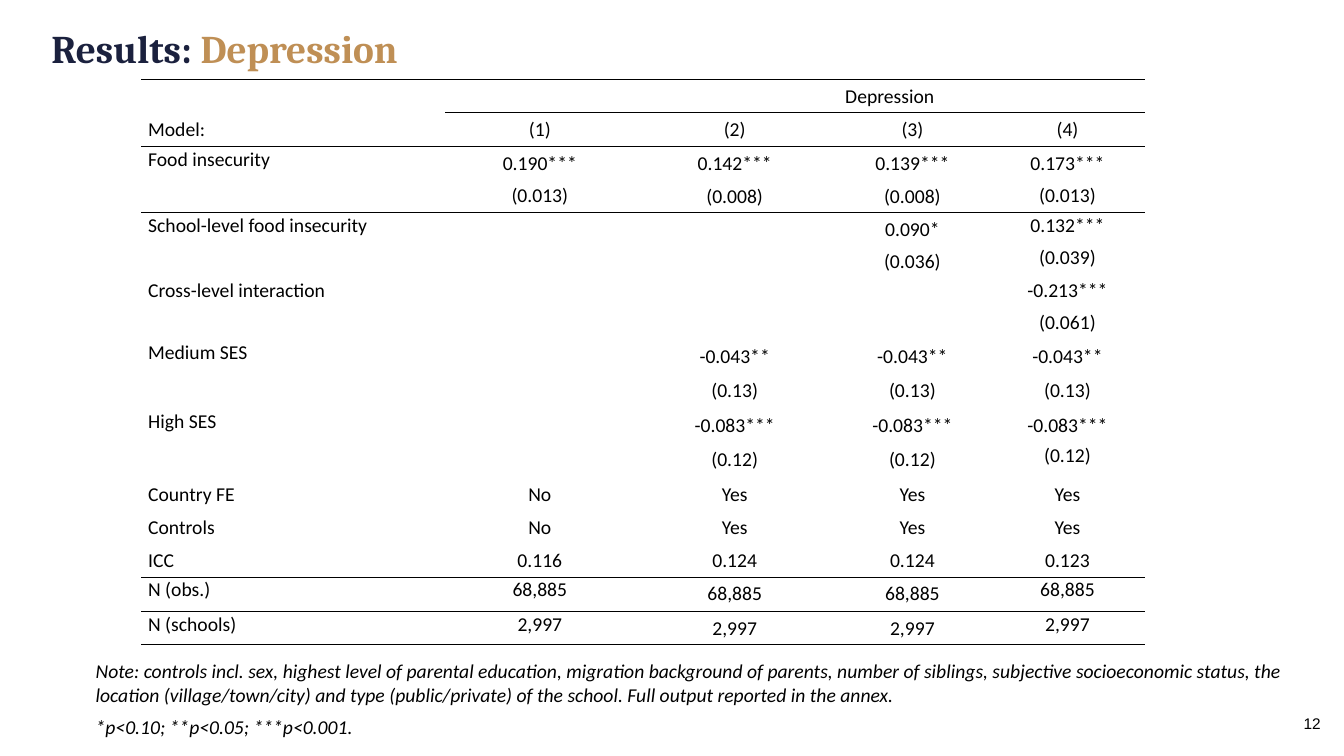
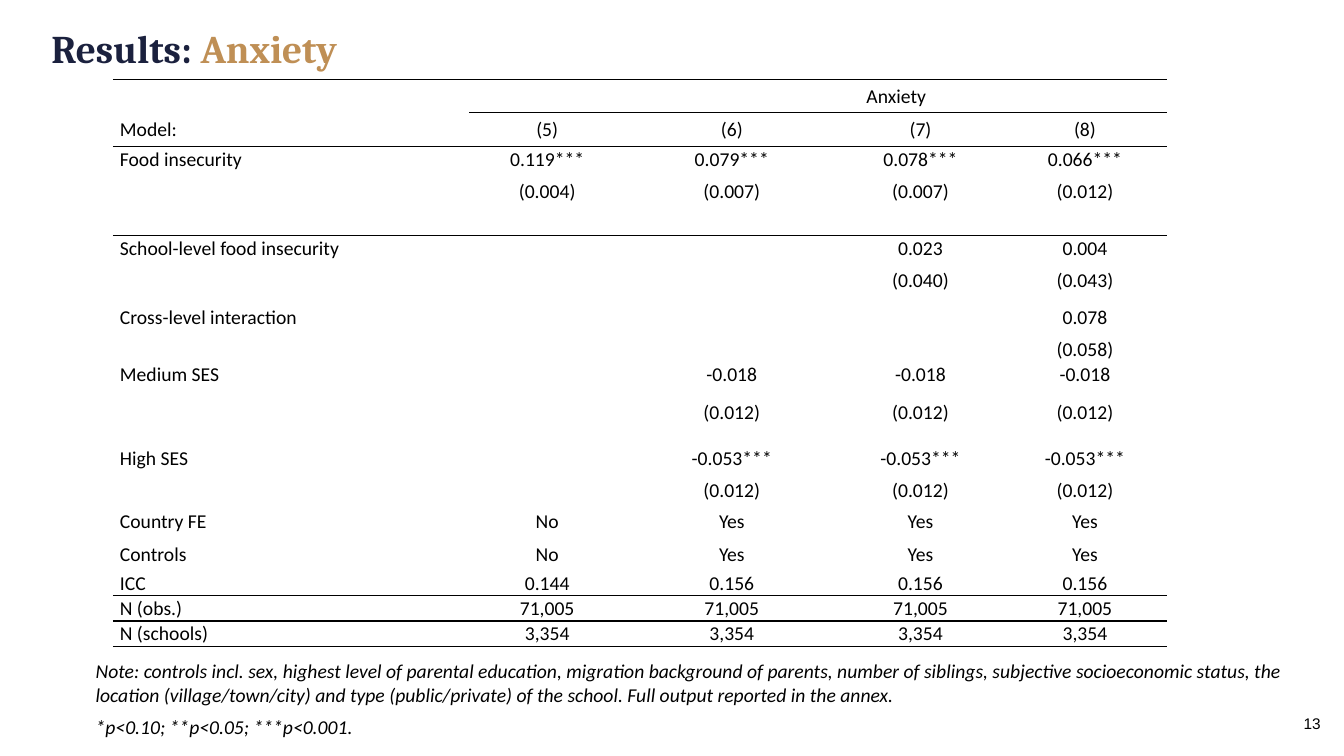
from lxml import etree
from pptx import Presentation
from pptx.dml.color import RGBColor
from pptx.enum.shapes import MSO_SHAPE
from pptx.enum.text import MSO_ANCHOR, PP_ALIGN
from pptx.oxml.ns import qn
from pptx.util import Inches, Pt

RECTANGLE = MSO_SHAPE.RECTANGLE
TOP, MIDDLE = MSO_ANCHOR.TOP, MSO_ANCHOR.MIDDLE
LEFT, CENTER = PP_ALIGN.LEFT, PP_ALIGN.CENTER

COLORS = {"navy": "1B213E", "gold": "BF8F55", "black": "000000", "white": "FFFFFF"}
PLAIN_TABLE = "{2D5ABB26-0587-4C30-8999-92F81FD0307C}"
BODY_SIZE = Pt(14)
TIGHT = (0.07, 0.01, 0.07, 0)
ROOMY = (0.1, 0.05, 0.1, 0.04)

NOTES = [
    "Note: controls incl. sex, highest level of parental education, migration background of "
    "parents, number of siblings, subjective socioeconomic status, the location "
    "(village/town/city) and type (public/private) of the school. Full output reported in "
    "the annex.",
    "*p<0.10; **p<0.05; ***p<0.001.",
]

LABELS = ["", "Model:", "Food insecurity", "School-level food insecurity",
          "Cross-level interaction", "Medium SES", "", "High SES", "", "Country FE",
          "Controls", "ICC", "N (obs.)", "N (schools)"]
LAST_COLUMN = 4
CENTRED_ROWS = {0, 1, 9, 10, 11}
# Rules above these rows (the last one closes the table), with the column each starts in
RULE_STARTS = {0: 0, 1: 1, 2: 0, 12: 0, 14: 0}

# Column and row sizes are relative; left and size are percentages of the slide.
# Each list of values fills the rightmost columns of its row.
RESULTS = [
    {
        "outcome": "Depression", "page": "12", "left": 10.5, "size": (74.7, 74.8),
        "columns": [302, 188, 199, 154, 154],
        "rows": [33, 34, 65, 65, 61, 34, 35, 34, 34, 33, 33, 33, 34, 33],
        "centred_values": {2},
        "roomy": {2: range(1, 14), 3: range(1, 14), 4: range(5, 8)},
        "values": [
            ["Depression", "", ""],
            ["(1)", "(2)", "(3)", "(4)"],
            ["0.190***\n(0.013)", "0.142***\n(0.008)", "0.139***\n(0.008)", "0.173***\n(0.013)"],
            ["0.090*\n(0.036)", "0.132***\n(0.039)"],
            ["-0.213***\n(0.061)"],
            ["-0.043**"] * 3,
            ["(0.13)"] * 3,
            ["-0.083***"] * 3,
            ["(0.12)"] * 3,
            ["No", "Yes", "Yes", "Yes"],
            ["No", "Yes", "Yes", "Yes"],
            ["0.116", "0.124", "0.124", "0.123"],
            ["68,885"] * 4,
            ["2,997"] * 4,
        ],
    },
    {
        "outcome": "Anxiety", "page": "13", "left": 8.4, "size": (78.45, 75),
        "columns": [353, 155, 211, 163, 163],
        "rows": [33, 34, 88, 69, 57, 37, 46, 32, 26, 33, 33, 25, 25, 25],
        "centred_values": set(),
        "roomy": {},
        "values": [
            ["Anxiety", "", ""],
            ["(5)", "(6)", "(7)", "(8)"],
            ["0.119***\n(0.004)", "0.079***\n(0.007)", "0.078***\n(0.007)", "0.066***\n(0.012)"],
            ["0.023\n(0.040)", "0.004\n(0.043)"],
            ["0.078\n(0.058)"],
            ["-0.018"] * 3,
            ["(0.012)"] * 3,
            ["-0.053***"] * 3,
            ["(0.012)"] * 3,
            ["No", "Yes", "Yes", "Yes"],
            ["No", "Yes", "Yes", "Yes"],
            ["0.144", "0.156", "0.156", "0.156"],
            ["71,005"] * 4,
            ["3,354"] * 4,
        ],
    },
]

prs = Presentation()
prs.slide_width, prs.slide_height = Inches(13.33), Inches(7.5)


def box(left, top, width, height):
    """Turn percentages of the slide into a position and size."""
    wide, high = prs.slide_width / 100, prs.slide_height / 100
    return int(left * wide), int(top * high), int(width * wide), int(height * high)


def style(run, font, size, color, bold=False, italic=False):
    run.font.name, run.font.size = font, size
    run.font.bold, run.font.italic = bold, italic
    run.font.color.rgb = RGBColor.from_string(COLORS[color])


for result in RESULTS:
    slide = prs.slides.add_slide(prs.slide_layouts[6])

    # Page number
    page = slide.shapes.add_shape(RECTANGLE, *box(95.95, 92.67, 3.38, 6.13))
    page.shadow.inherit = False
    page.fill.solid()
    page.fill.fore_color.rgb = RGBColor.from_string(COLORS["white"])
    page.line.fill.background()
    frame = page.text_frame
    frame.margin_left = frame.margin_top = frame.margin_right = frame.margin_bottom = 0
    frame.vertical_anchor = MIDDLE
    frame.text = result["page"]
    frame.paragraphs[0].alignment = CENTER
    style(frame.paragraphs[0].runs[0], "Arial", Pt(11), "black")

    # Title
    frame = slide.shapes.add_textbox(*box(3.83, 3.2, 85.67, 7)).text_frame
    frame.word_wrap = True
    frame.margin_left = frame.margin_top = frame.margin_right = frame.margin_bottom = 0
    for words, color in (("Results: ", "navy"), (result["outcome"], "gold")):
        run = frame.paragraphs[0].add_run()
        run.text = words
        style(run, "Cambria", Pt(28), color, bold=True)

    # Regression table
    left, top, width, height = box(result["left"], 10.5, *result["size"])
    graphic = slide.shapes.add_table(len(LABELS), LAST_COLUMN + 1, left, top, width, height)
    table = graphic.table
    table.first_row = table.horz_banding = False
    table._tbl.tblPr.find(qn("a:tableStyleId")).text = PLAIN_TABLE
    for column, share in zip(table.columns, result["columns"]):
        column.width = int(width * share / sum(result["columns"]))
    for row, share in zip(table.rows, result["rows"]):
        row.height = int(height * share / sum(result["rows"]))
    table.cell(0, 2).merge(table.cell(0, LAST_COLUMN))

    for r, (label, values) in enumerate(zip(LABELS, result["values"])):
        gaps = [""] * (LAST_COLUMN - len(values))
        for c, words in enumerate([label] + gaps + values):
            cell = table.cell(r, c)
            insets = ROOMY if r in result["roomy"].get(c, ()) else TIGHT
            (cell.margin_left, cell.margin_top,
             cell.margin_right, cell.margin_bottom) = map(Inches, insets)
            centred = r in CENTRED_ROWS or (c > 0 and r in result["centred_values"])
            cell.vertical_anchor = MIDDLE if centred else TOP

            cell.text_frame.text = words
            for paragraph in cell.text_frame.paragraphs:
                paragraph.alignment = CENTER if c else LEFT
                paragraph.space_before = Pt(6)
                for run in paragraph.runs:
                    style(run, "Calibri", BODY_SIZE, "black")
                if not words:
                    # Keep empty cells from stretching their row
                    end = etree.SubElement(paragraph._p, qn("a:endParaRPr"))
                    end.set("sz", str(int(BODY_SIZE.pt * 100)))

            # Horizontal rules
            properties = cell._tc.get_or_add_tcPr()
            for edge, position in (("a:lnT", r), ("a:lnB", r + 1)):
                if c >= RULE_STARTS.get(position, LAST_COLUMN + 1):
                    rule = etree.SubElement(properties, qn(edge), w=str(Pt(1)))
                    ink = etree.SubElement(rule, qn("a:solidFill"))
                    etree.SubElement(ink, qn("a:srgbClr"), val=COLORS["black"])
            cell.fill.background()

    # Notes under the table
    frame = slide.shapes.add_textbox(*box(6.38, 86.53, 93, 13)).text_frame
    frame.word_wrap = True
    frame.text = "\n".join(NOTES)
    for paragraph in frame.paragraphs:
        paragraph.space_before = Pt(6)
        style(paragraph.runs[0], "Calibri", BODY_SIZE, "black", italic=True)

prs.save("out.pptx")
